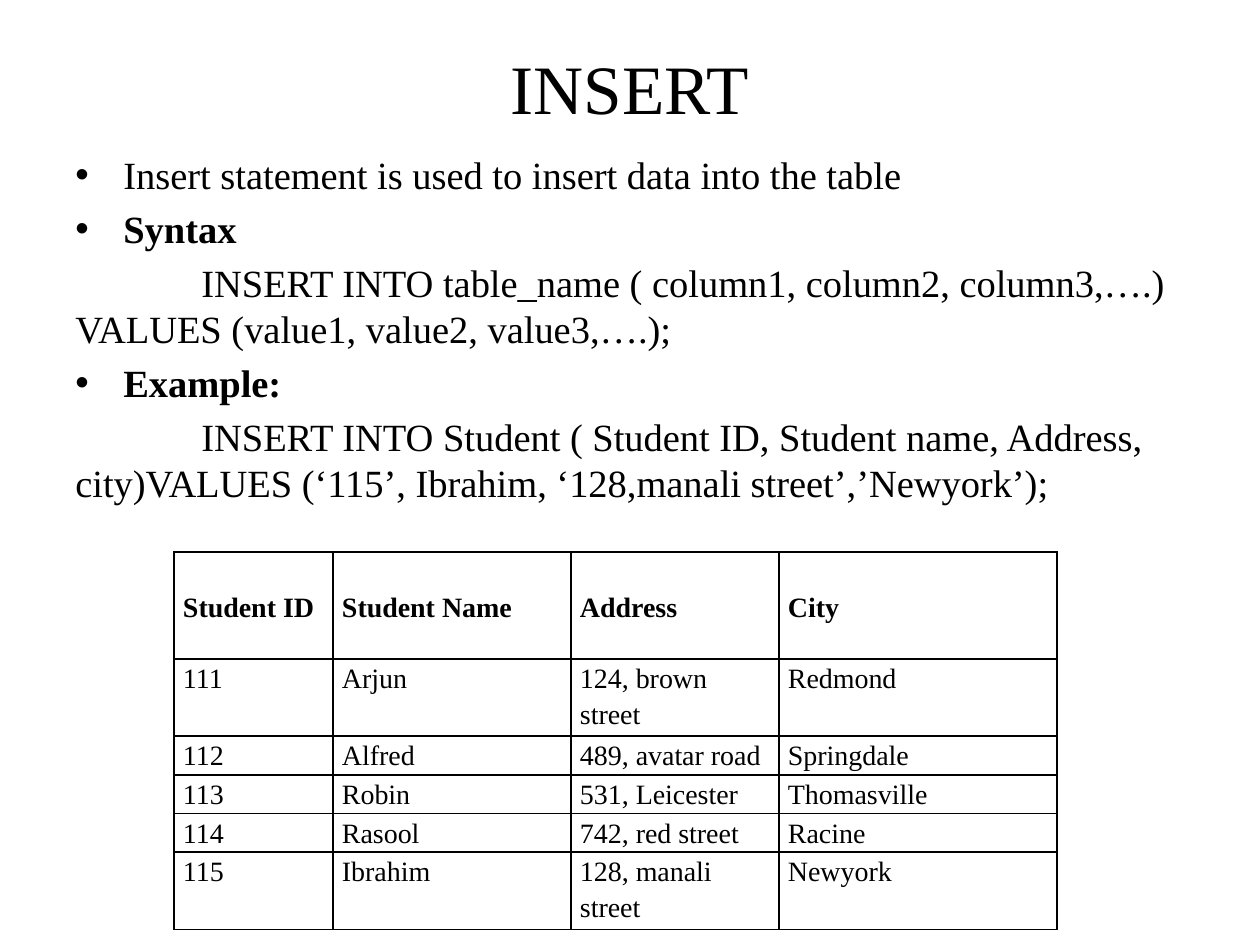
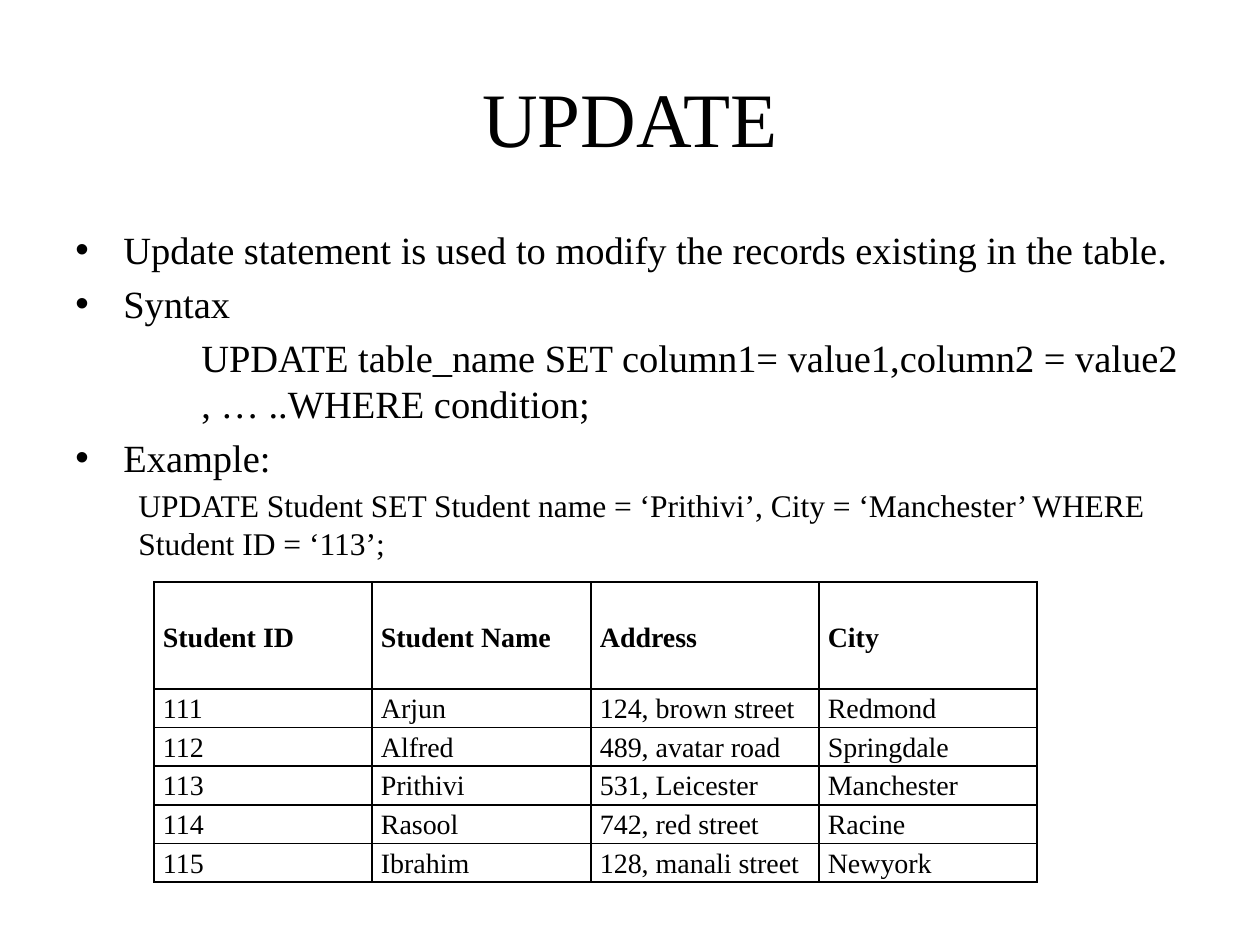
from lxml import etree
from pptx import Presentation
from pptx import util as u
from pptx.dml import color
from pptx.enum import text
from pptx.oxml import ns

# Shared look
PX = 914400 / 126
COLORS = {"ink": "000000"}
FONT = "Times New Roman"
MARGIN, CONTENT_WIDTH, TITLE_TOP = 63, 1134, 38
BULLET_INDENT = 48
HEADER_HEIGHT = 107
HEADINGS = ["Student ID", "Student Name", "Address", "City"]


def px(length):
    return u.Emu(round(length * PX))


def add_element(parent, tag, **attributes):
    return etree.SubElement(parent, ns.qn(tag), attributes)


def style_font(paragraph, size, bold=False):
    font = paragraph.font
    font.name, font.size, font.bold = FONT, u.Pt(size), bold
    font.color.rgb = color.RGBColor.from_string(COLORS["ink"])


def add_text_frame(slide, top, height):
    shape = slide.shapes.add_textbox(px(MARGIN), px(top), px(CONTENT_WIDTH), px(height))
    shape.text_frame.word_wrap = True
    return shape.text_frame


def add_title(slide, title, height, size):
    frame = add_text_frame(slide, TITLE_TOP, height)
    frame.vertical_anchor = text.MSO_ANCHOR.MIDDLE
    paragraph = frame.paragraphs[0]
    paragraph.text = title
    paragraph.alignment = text.PP_ALIGN.CENTER
    style_font(paragraph, size)


# Body lines: each is a dict made by bullet() or statement()
def bullet(words, bold=False):
    return dict(words=words, left=BULLET_INDENT, first=-BULLET_INDENT,
                size=22, bold=bold, mark=True)


def statement(words, left=0, first=0, size=22):
    return dict(words=words, left=left, first=first, size=size, bold=False, mark=False)


def add_body(slide, top, height, lines):
    frame = add_text_frame(slide, top, height)
    for index, line in enumerate(lines):
        paragraph = frame.add_paragraph() if index else frame.paragraphs[0]
        paragraph.text = line["words"]
        properties = paragraph._p.get_or_add_pPr()
        properties.set("marL", str(px(line["left"])))
        properties.set("indent", str(px(line["first"])))
        if line["mark"]:
            add_element(properties, "a:buFont", typeface="Arial")
            add_element(properties, "a:buChar", char="•")
        if index:
            paragraph.space_before = u.Pt(line["size"] * 0.2)
        style_font(paragraph, line["size"], line["bold"])


# Table
def add_borders(cell):
    properties = cell._tc.get_or_add_tcPr()
    for side in ("a:lnL", "a:lnR", "a:lnT", "a:lnB"):
        border = add_element(properties, side, w=str(u.Pt(1)))
        fill = add_element(border, "a:solidFill")
        add_element(fill, "a:srgbClr", val=COLORS["ink"])


def fill_cell(cell, words, is_header):
    cell.margin_left = cell.margin_right = px(9)
    cell.margin_top = cell.margin_bottom = 0
    cell.vertical_anchor = text.MSO_ANCHOR.MIDDLE if is_header else text.MSO_ANCHOR.TOP
    add_borders(cell)
    cell.fill.background()
    paragraph = cell.text_frame.paragraphs[0]
    paragraph.text = words
    paragraph.line_spacing = 1.15
    style_font(paragraph, 16, is_header)


def add_student_table(slide, left, top, widths, students):
    rows = [HEADINGS] + students
    table = slide.shapes.add_table(len(rows), len(widths), px(left), px(top),
                                   px(sum(widths)), px(HEADER_HEIGHT)).table
    table.first_row = table.horz_banding = False
    for column, width in zip(table.columns, widths):
        column.width = px(width)
    for index, values in enumerate(rows):
        # Student rows grow to fit their text
        table.rows[index].height = 0 if index else px(HEADER_HEIGHT)
        for column, words in enumerate(values):
            fill_cell(table.cell(index, column), words, index == 0)


def students_with(third_name, third_city):
    return [
        ["111", "Arjun", "124, brown street", "Redmond"],
        ["112", "Alfred", "489, avatar road", "Springdale"],
        ["113", third_name, "531, Leicester", third_city],
        ["114", "Rasool", "742, red street", "Racine"],
        ["115", "Ibrahim", "128, manali street", "Newyork"],
    ]


def add_insert_slide(slide):
    add_title(slide, "INSERT", 97, 39.6)
    add_body(slide, 145, 800, [
        bullet("Insert statement is used to insert data into the table"),
        bullet("Syntax", bold=True),
        statement("INSERT INTO table_name ( column1, column2, column3,….) "
                  "VALUES (value1, value2, value3,….);", first=126),
        bullet("Example:", bold=True),
        statement("INSERT INTO Student ( Student ID, Student name, Address, "
                  "city)VALUES (‘115’, Ibrahim, ‘128,manali street’,’Newyork’);", first=126),
    ])
    add_student_table(slide, 174, 552, [159, 238, 208, 278],
                      students_with("Robin", "Thomasville"))


def add_update_slide(slide):
    add_title(slide, "UPDATE", 158, 44)
    add_body(slide, 220, 624, [
        bullet("Update statement is used to modify the records existing in the table."),
        bullet("Syntax"),
        statement("UPDATE table_name SET column1= value1,column2 = value2 "
                  ", … ..WHERE condition;", left=126),
        bullet("Example:"),
        statement("UPDATE Student SET Student name = ‘Prithivi’, City = ‘Manchester’ "
                  "WHERE Student ID = ‘113’;", left=63, size=18),
    ])
    add_student_table(slide, 154, 582, [218, 219, 228, 218],
                      students_with("Prithivi", "Manchester"))


def main():
    presentation = Presentation()
    presentation.slide_width, presentation.slide_height = px(1260), px(945)
    blank = presentation.slide_layouts[6]
    for add_content in (add_insert_slide, add_update_slide):
        add_content(presentation.slides.add_slide(blank))
    presentation.save("out.pptx")


if __name__ == "__main__":
    main()
